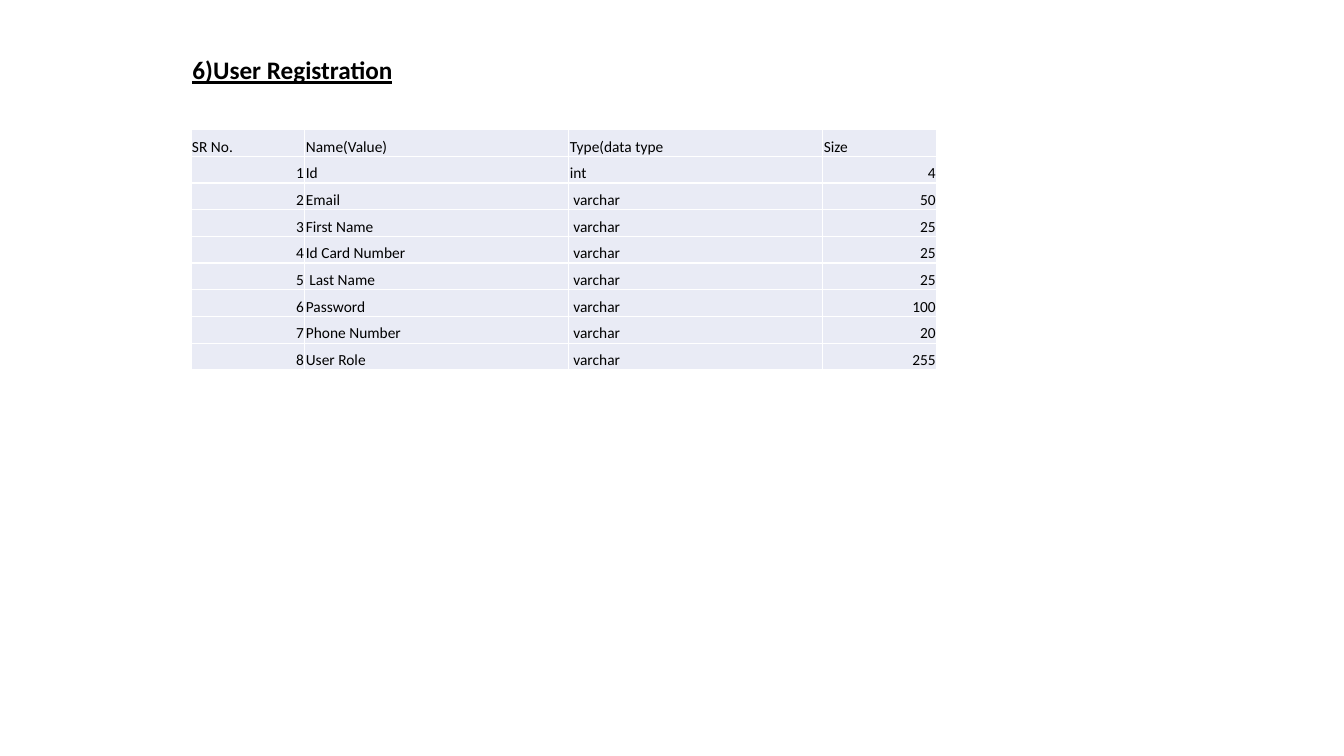
from dataclasses import dataclass

from lxml.etree import SubElement
from pptx import Presentation
from pptx.dml.color import RGBColor
from pptx.enum.text import MSO_ANCHOR as Anchor, MSO_AUTO_SIZE as AutoSize, PP_ALIGN as Align
from pptx.oxml.ns import qn
from pptx.util import Emu, Pt


@dataclass(frozen=True)
class Theme:
    font: str = "Calibri"
    ink: str = "000000"
    cell: str = "E9EBF5"
    border: str = "FFFFFF"
    border_width: int = 1
    title_size: int = 18
    body_size: int = 11


THEME = Theme()
PX_PER_INCH = 200
ROW_HEIGHT = 53
COLUMN_WIDTHS = (226, 524, 504, 226)
HEADINGS = ("SR No.", "Name(Value)", "Type(data type", "Size")
FIELDS = (
    ("Id", "int", 4),
    ("Email", " varchar", 50),
    ("First Name", " varchar", 25),
    ("Id Card Number", " varchar", 25),
    (" Last Name", " varchar", 25),
    ("Password", " varchar", 100),
    ("Phone Number", " varchar", 20),
    ("User Role", " varchar", 255),
)


def px(length):
    return Emu(length * 914400 // PX_PER_INCH)


def style_runs(paragraph, size, bold=False, underline=False):
    for run in paragraph.runs:
        run.font.name = THEME.font
        run.font.size = Pt(size)
        run.font.bold = bold
        run.font.underline = underline
        run.font.color.rgb = RGBColor.from_string(THEME.ink)


def add_title(slide, text, left, top, width, height):
    title = slide.shapes.title
    title.left, title.top, title.width, title.height = map(px, (left, top, width, height))
    frame = title.text_frame
    frame.text = text
    frame.word_wrap = False
    frame.auto_size = AutoSize.SHAPE_TO_FIT_TEXT
    frame.vertical_anchor = Anchor.TOP
    heading = frame.paragraphs[0]
    heading.alignment = Align.LEFT
    style_runs(heading, THEME.title_size, bold=True, underline=True)


def add_borders(cell):
    properties = cell._tc.get_or_add_tcPr()
    for side in ("lnL", "lnR", "lnT", "lnB"):
        line = SubElement(properties, qn(f"a:{side}"), w=str(Pt(THEME.border_width)))
        fill = SubElement(line, qn("a:solidFill"))
        SubElement(fill, qn("a:srgbClr"), val=THEME.border)


def fill_cell(cell, value):
    add_borders(cell)
    cell.fill.solid()
    cell.fill.fore_color.rgb = RGBColor.from_string(THEME.cell)
    cell.margin_left = cell.margin_right = cell.margin_top = px(2)
    cell.margin_bottom = 0
    cell.vertical_anchor = Anchor.BOTTOM
    cell.text_frame.text = str(value)
    entry = cell.text_frame.paragraphs[0]
    entry.alignment = Align.RIGHT if isinstance(value, int) else Align.LEFT
    style_runs(entry, THEME.body_size)


def add_field_table(slide, left, top, records):
    frame = slide.shapes.add_table(
        len(records), len(COLUMN_WIDTHS), px(left), px(top),
        px(sum(COLUMN_WIDTHS)), px(ROW_HEIGHT * len(records)),
    )
    table = frame.table
    table.first_row = False
    table.horz_banding = False
    for column, width in zip(table.columns, COLUMN_WIDTHS):
        column.width = px(width)
    for row, record in zip(table.rows, records):
        row.height = px(ROW_HEIGHT)
        for cell, value in zip(row.cells, record):
            fill_cell(cell, value)


def main():
    deck = Presentation()
    deck.slide_width, deck.slide_height = px(2667), px(1500)
    slide = deck.slides.add_slide(deck.slide_layouts[5])
    add_title(slide, "6)User Registration", 362, 98, 460, 80)
    numbered = [(number, *field) for number, field in enumerate(FIELDS, 1)]
    add_field_table(slide, 379, 257, [HEADINGS, *numbered])
    deck.save("out.pptx")


if __name__ == "__main__":
    main()
